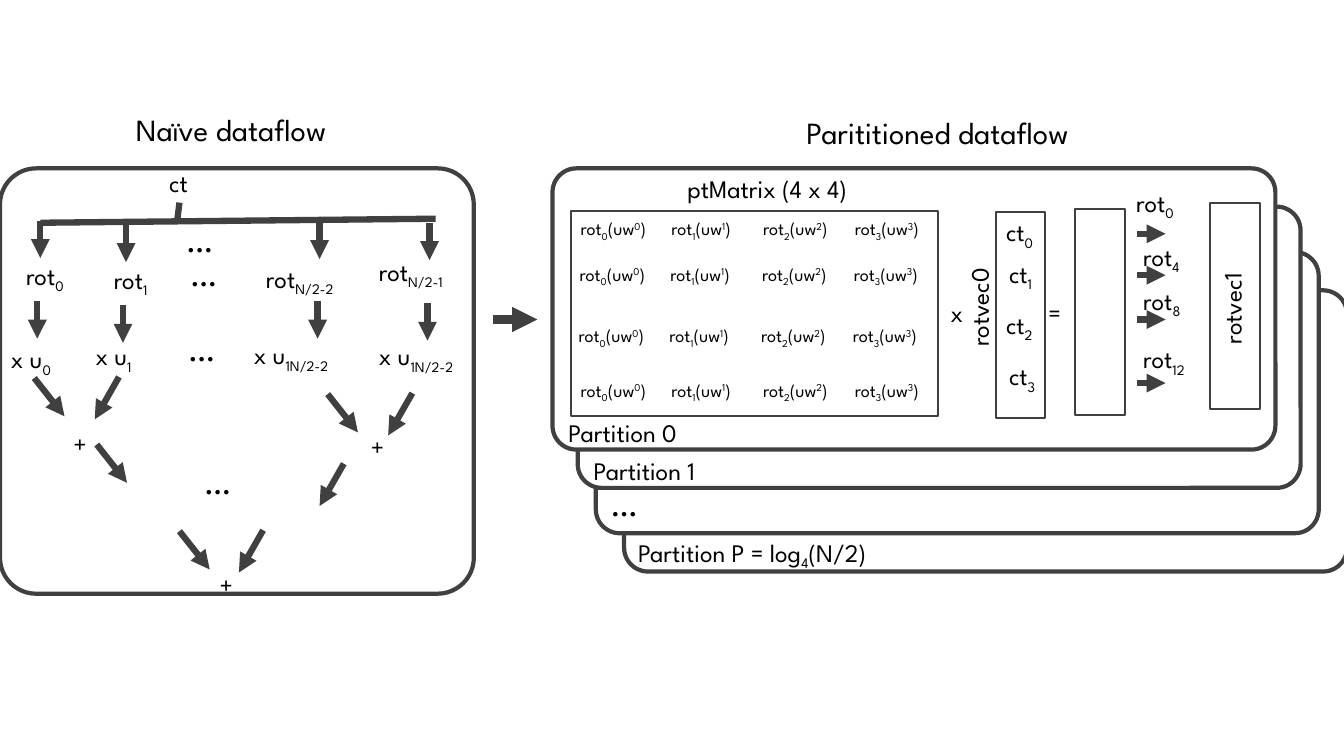
from lxml import etree
from pptx import Presentation
from pptx.dml.color import RGBColor
from pptx.enum.shapes import MSO_CONNECTOR, MSO_SHAPE
from pptx.enum.text import MSO_AUTO_SIZE
from pptx.oxml.ns import qn
from pptx.util import Emu, Pt

ROUND_RECT, RECT = MSO_SHAPE.ROUNDED_RECTANGLE, MSO_SHAPE.RECTANGLE
STRAIGHT = MSO_CONNECTOR.STRAIGHT
FIT = MSO_AUTO_SIZE.SHAPE_TO_FIT_TEXT

EMU_PER_PX = 9144
SLIDE_W, SLIDE_H = 1333, 750

THEME = {
    "font": "League Spartan",
    "ink": RGBColor(0x00, 0x00, 0x00),
    "line": RGBColor(0x40, 0x40, 0x40),
    "panel": RGBColor(0xFF, 0xFF, 0xFF),
    "title": 22, "body": 18, "cell": 13, "dots": 25,
    "panel_line": 3, "box_line": 1.5, "arrow": 4.5, "main_arrow": 6,
}
BASELINES = {"_": "-25000", "^": "30000"}

TITLES = [("Naïve dataflow", 125, 105, 238), ("Parititioned dataflow", 790, 108, 311)]

NAIVE_PANEL = (0, 167, 470, 422)
PARTITION_SIZE = (717, 279)
PARTITIONS = [
    ((619, 288), "Partition P = log|_4|(N/2)", (623, 528, 287, 40), "body"),
    ((591, 250), "…", (596, 473, 53, 52), "dots"),
    ((573, 205), "Partition 1", (579, 447, 137, 40), "body"),
    ((548, 167), "Partition 0", (554, 409, 137, 40), "body"),
]

MATRIX_BOX = (566, 209, 364, 204)
MATRIX_ROWS = [(566, 211), (565, 256), (564, 317), (566, 371)]
MATRIX_COLS, MATRIX_SPAN = 4, 272
VECTOR_BOXES = [(910, 288), (989, 285), (1123, 279)]
VECTOR_SIZE = (204, 49)
VECTOR_NAMES = [("rotvec0", (886, 249, 170, 40)), ("rotvec1", (1149, 259, 145, 40))]
CT_PLACES = [(988, 210), (991, 251), (988, 302), (991, 353)]
ROTATIONS = [
    ("0", (1117, 181, 62), 232),
    ("4", (1124, 234, 83), 273),
    ("8", (1124, 278, 62), 317),
    ("12", (1124, 336, 83), 380),
]
ROTATION_X, ROTATION_LEN = 1128, 28
MATRIX_LABELS = [
    ("ptMatrix (4 x 4)", (672, 167, 206, 40)),
    ("x", (933, 290, 34, 40)),
    ("=", (1030, 290, 36, 40)),
]

CT_LABEL = ("ct", (158, 161, 39, 40))
BUS = [(432, 217, 400 - 360, 221), (178, 201, 176, 217)]
DROP = 37
BRANCHES = [
    ((40, 219), "rot|_0", (16, 253, 62), (37, 299), "x u|_0", (1, 336, 93)),
    ((125, 223), "rot|_1", (103, 257, 62), (122, 303), "x u|_1", (85, 333, 67)),
    ((317, 220), "rot|_N/2-2", (254, 256, 100), (315, 299), "x u|_1N/2-2", (242, 332, 115)),
    ((426, 221), "rot|_N/2-1", (366, 249, 100), (424, 301), "x u|_1N/2-2", (366, 333, 115)),
]
DOTS = [(175, 211), (179, 245), (177, 319), (193, 451)]
RIGHTWARD, LEFTWARD = (30, 38), (-24, 42)
RIGHTWARD_STARTS = [(34, 375), (325, 391), (96, 441), (178, 527)]
LEFTWARD_STARTS = [(118, 374), (409, 390), (341, 460), (261, 526)]
PLUSES = [(358, 423), (63, 420), (208, 560)]
MAIN_ARROW = (489, 317, 533, 317)


def px(*values):
    return [Emu(v * EMU_PER_PX) for v in values]


def add_text(shapes, text, box, size="body", wrap=True, rotation=0):
    sp = shapes.add_textbox(*px(*box))
    sp.rotation = rotation
    tf = sp.text_frame
    tf.word_wrap = wrap
    tf.auto_size = FIT
    p = tf.paragraphs[0]
    for part in text.split("|"):
        baseline = BASELINES.get(part[0])
        r = p.add_run()
        r.text = part[1:] if baseline else part
        r.font.name = THEME["font"]
        r.font.size = Pt(THEME[size])
        r.font.color.rgb = THEME["ink"]
        if baseline:
            r._r.get_or_add_rPr().set("baseline", baseline)


def add_box(shapes, kind, box, line, rotation=0):
    sp = shapes.add_shape(kind, *px(*box))
    sp.shadow.inherit = False
    sp.rotation = rotation
    if kind == ROUND_RECT:
        sp.adjustments[0] = 0.085
        sp.fill.solid()
        sp.fill.fore_color.rgb = THEME["panel"]
    else:
        sp.fill.background()
    sp.line.color.rgb = THEME["line"]
    sp.line.width = Pt(THEME[line])


def add_line(shapes, ends, width="arrow", head=True):
    cn = shapes.add_connector(STRAIGHT, *px(*ends))
    cn.line.color.rgb = THEME["line"]
    cn.line.width = Pt(THEME[width])
    if head:
        etree.SubElement(cn.line._get_or_add_ln(), qn("a:tailEnd"), type="triangle")
    etree.SubElement(cn._element.spPr, qn("a:effectLst"))


def draw_partitions(shapes):
    for corner, label, box, size in PARTITIONS:
        group = shapes.add_group_shape().shapes
        add_box(group, ROUND_RECT, corner + PARTITION_SIZE, "panel_line")
        add_text(group, label, box, size, wrap=False)


def draw_matrix_product(shapes):
    add_box(shapes, RECT, MATRIX_BOX, "box_line")
    for x, y in MATRIX_ROWS:
        for col in range(MATRIX_COLS):
            left = x + MATRIX_SPAN * col // (MATRIX_COLS - 1)
            add_text(shapes, f"rot|_{col}|(uw|^{col}|)", (left, y, 95, 32), "cell", wrap=False)
    for corner in VECTOR_BOXES:
        add_box(shapes, RECT, corner + VECTOR_SIZE, "box_line", rotation=90)
    for name, box in VECTOR_NAMES:
        add_text(shapes, name, box, rotation=270)
    for i, corner in enumerate(CT_PLACES):
        add_text(shapes, f"ct|_{i}", corner + (49, 40))
    for label, box in MATRIX_LABELS:
        add_text(shapes, label, box, wrap=False)
    for index, place, y in ROTATIONS:
        add_line(shapes, (ROTATION_X, y, ROTATION_X + ROTATION_LEN, y))
        add_text(shapes, f"rot|_{index}", place + (40,))


def draw_naive(shapes):
    add_text(shapes, *CT_LABEL, wrap=False)
    for ends in BUS:
        add_line(shapes, ends, head=False)
    for top, rot, rot_place, middle, product, product_place in BRANCHES:
        for x, y in (top, middle):
            add_line(shapes, (x, y, x, y + DROP))
        add_text(shapes, rot, rot_place + (40,))
        add_text(shapes, product, product_place + (40,))
    for (dx, dy), starts in ((RIGHTWARD, RIGHTWARD_STARTS), (LEFTWARD, LEFTWARD_STARTS)):
        for x, y in starts:
            add_line(shapes, (x, y, x + dx, y + dy))
    for corner in DOTS:
        add_text(shapes, "…", corner + (53, 52), "dots", wrap=False)
    for corner in PLUSES:
        add_text(shapes, "+", corner + (36, 40))


def main():
    prs = Presentation()
    prs.slide_width, prs.slide_height = px(SLIDE_W, SLIDE_H)
    shapes = prs.slides.add_slide(prs.slide_layouts[6]).shapes
    add_box(shapes, ROUND_RECT, NAIVE_PANEL, "panel_line")
    draw_partitions(shapes)
    draw_matrix_product(shapes)
    draw_naive(shapes)
    add_line(shapes, MAIN_ARROW, "main_arrow")
    for title, x, y, w in TITLES:
        add_text(shapes, title, (x, y, w, 47), "title", wrap=False)
    prs.save("out.pptx")


if __name__ == "__main__":
    main()
